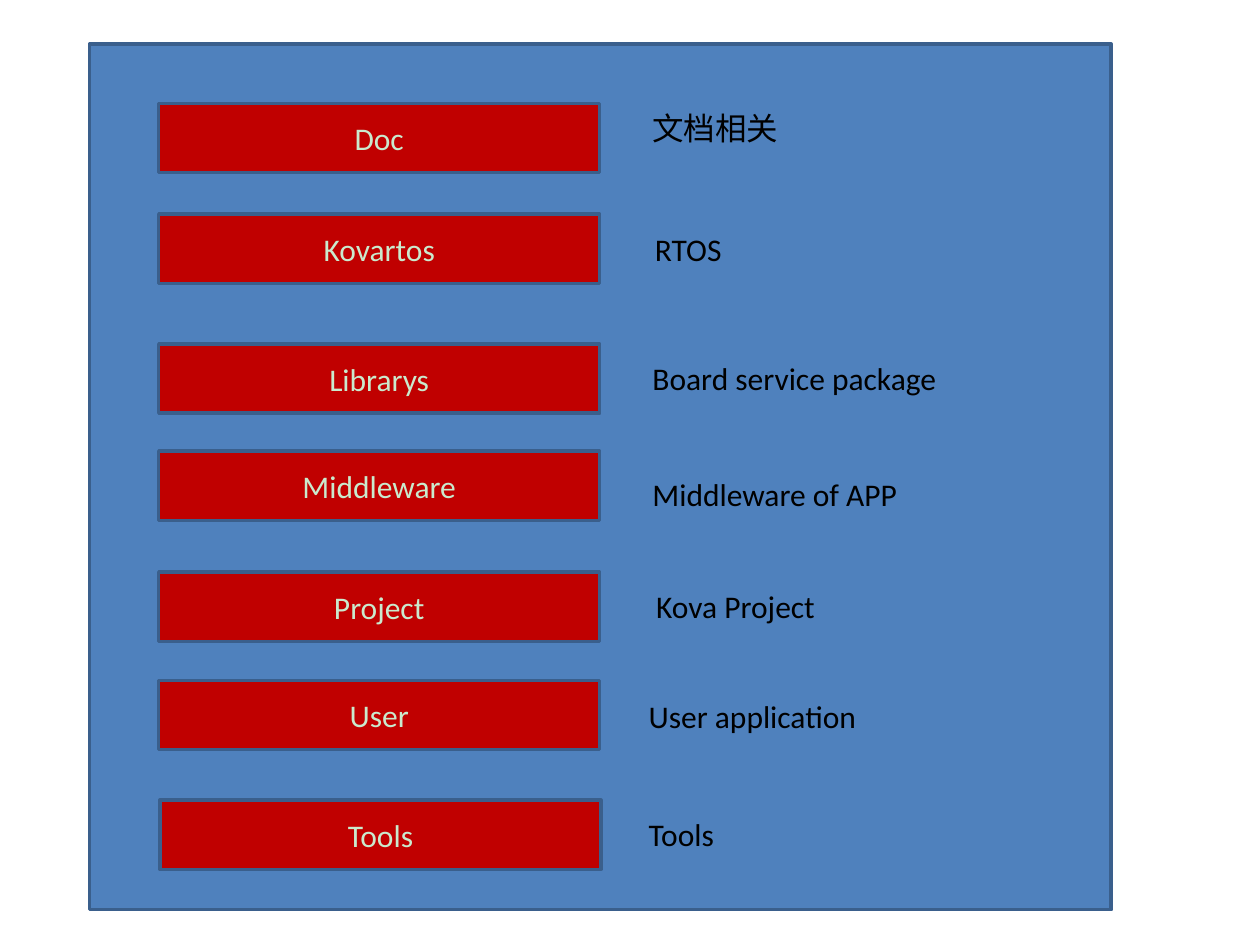
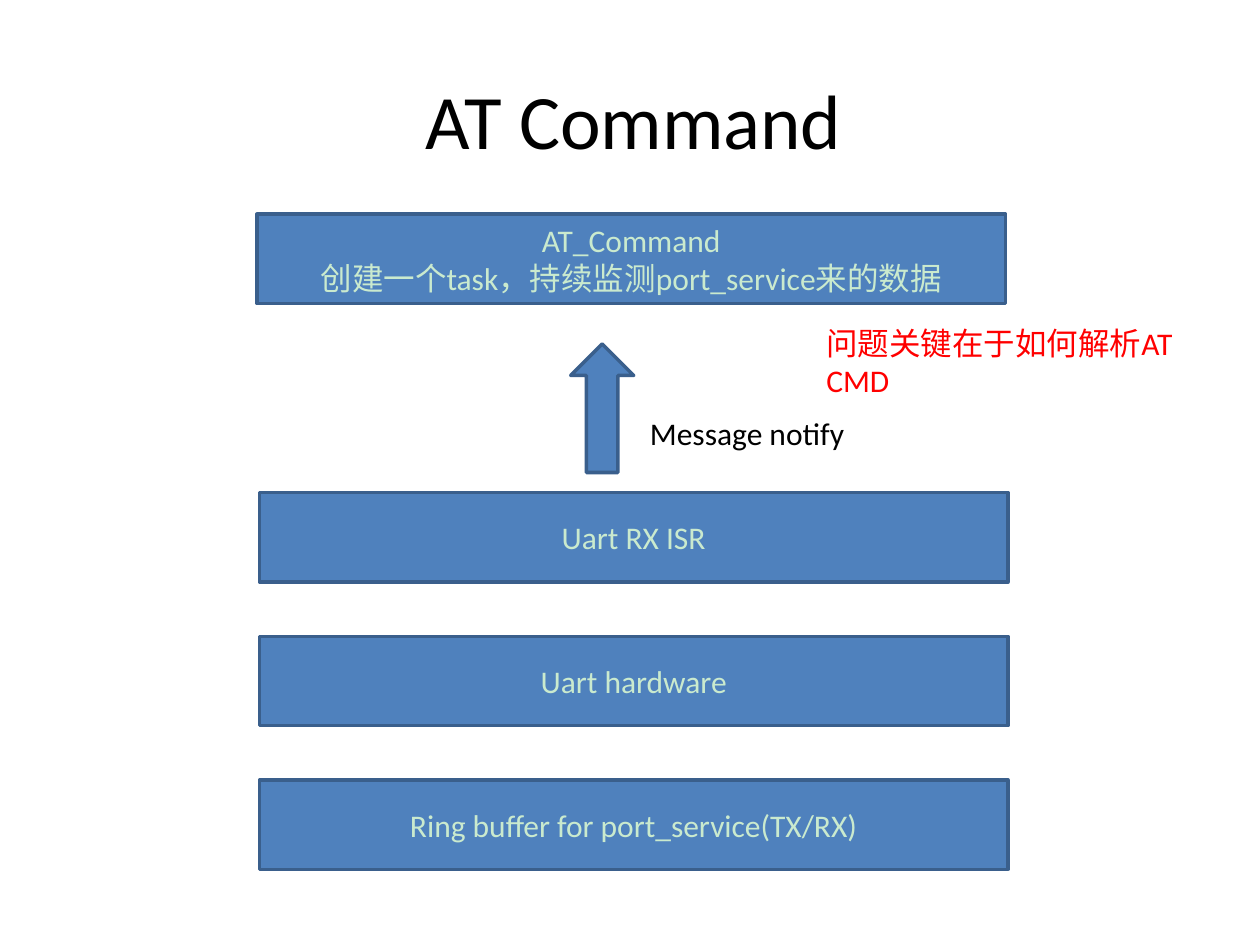
"""Builds two slides: the project folder overview and the AT command stack."""
from typing import NamedTuple

import pptx
import pptx.dml.color
import pptx.enum.shapes
import pptx.enum.text
import pptx.slide
import pptx.util

Inches = pptx.util.Inches
Pt = pptx.util.Pt
RGBColor = pptx.dml.color.RGBColor
Shape = pptx.enum.shapes.MSO_SHAPE
Align = pptx.enum.text.PP_ALIGN
Anchor = pptx.enum.text.MSO_ANCHOR

BLUE = RGBColor(0x4F, 0x81, 0xBD)
BORDER = RGBColor(0x3A, 0x5F, 0x8C)
DARK_RED = RGBColor(0xC0, 0x00, 0x00)
PALE_GREEN = RGBColor(0xCA, 0xEA, 0xCE)
BLACK = RGBColor(0x00, 0x00, 0x00)
RED = RGBColor(0xFF, 0x00, 0x00)
FONT = "Calibri"


class Box(NamedTuple):
    """Position and size in inches."""
    left: float
    top: float
    width: float
    height: float

    def lengths(self) -> list[pptx.util.Length]:
        """Return the four values as lengths."""
        return [Inches(value) for value in self]


class Folder(NamedTuple):
    """A project folder and the note beside it."""
    name: str
    top: float
    note: str
    note_left: float
    note_top: float
    left: float = 1.26


FOLDERS = [
    Folder("Doc", 0.82, "文档相关", 5.08, 0.82),
    Folder("Kovartos", 1.7, "RTOS", 5.1, 1.78),
    Folder("Librarys", 2.73, "Board service package", 5.08, 2.8),
    Folder("Middleware", 3.58, "Middleware of APP", 5.08, 3.72),
    Folder("Project", 4.54, "Kova Project", 5.11, 4.61),
    Folder("User", 5.4, "User application", 5.05, 5.48),
    Folder("Tools", 6.35, "Tools", 5.05, 6.42, left=1.27),
]

LAYERS = ["Uart RX ISR", "Uart hardware", "Ring buffer for port_service(TX/RX)"]
LAYER_TOP, LAYER_PITCH = 3.91, 1.14
LAYER_WIDTH, LAYER_HEIGHT = 5.94, 0.71


def write(frame, lines: list[str], color: RGBColor, size: int = 18,
          align: Align = Align.LEFT, anchor: Anchor = Anchor.TOP) -> None:
    """Fill a text frame with one paragraph per line."""
    frame.word_wrap = True
    frame.vertical_anchor = anchor
    for index, line in enumerate(lines):
        paragraph = frame.add_paragraph() if index else frame.paragraphs[0]
        paragraph.text = line
        paragraph.alignment = align
        paragraph.font.name = FONT
        paragraph.font.size = Pt(size)
        paragraph.font.color.rgb = color


def add_block(slide: pptx.slide.Slide, box: Box, *lines: str,
              fill: RGBColor = BLUE, kind: Shape = Shape.RECTANGLE) -> None:
    """Draw a bordered shape with optional centred text."""
    block = slide.shapes.add_shape(kind, *box.lengths())
    block.shadow.inherit = False
    block.fill.solid()
    block.fill.fore_color.rgb = fill
    block.line.color.rgb = BORDER
    block.line.width = Pt(2)
    if lines:
        write(block.text_frame, list(lines), PALE_GREEN,
              align=Align.CENTER, anchor=Anchor.MIDDLE)


def add_label(slide: pptx.slide.Slide, box: Box, text: str,
              color: RGBColor = BLACK, **style) -> None:
    """Place free text on the slide."""
    label = slide.shapes.add_textbox(*box.lengths())
    write(label.text_frame, [text], color, **style)


def build_folders(slide: pptx.slide.Slide) -> None:
    """Draw the folder overview on its blue panel."""
    add_block(slide, Box(0.71, 0.35, 8.11, 6.87))
    for folder in FOLDERS:
        add_block(slide, Box(folder.left, folder.top, 3.5, 0.55),
                  folder.name, fill=DARK_RED)
        add_label(slide, Box(folder.note_left, folder.note_top, 3.23, 0.4),
                  folder.note)


def build_command_stack(slide: pptx.slide.Slide) -> None:
    """Draw the AT command task above the layers that notify it."""
    add_label(slide, Box(0.53, 0.52, 9, 0.85), "AT Command", size=44,
              align=Align.CENTER, anchor=Anchor.MIDDLE)
    add_block(slide, Box(2.04, 1.7, LAYER_WIDTH, LAYER_HEIGHT),
              "AT_Command", "创建一个task，持续监测port_service来的数据")
    for index, layer in enumerate(LAYERS):
        top = LAYER_TOP + index * LAYER_PITCH
        add_block(slide, Box(2.06, top, LAYER_WIDTH, LAYER_HEIGHT), layer)
    add_block(slide, Box(4.53, 2.73, 0.5, 1.02), kind=Shape.UP_ARROW)
    add_label(slide, Box(5.06, 3.24, 1.8, 0.4), "Message notify")
    add_label(slide, Box(6.46, 2.52, 3.3, 0.7), "问题关键在于如何解析AT CMD", RED)


def main() -> None:
    """Build and save the presentation."""
    deck = pptx.Presentation()
    deck.slide_width, deck.slide_height = Inches(10), Inches(7.5)
    blank = deck.slide_layouts[6]
    for build in (build_folders, build_command_stack):
        build(deck.slides.add_slide(blank))
    deck.save("out.pptx")


main()
